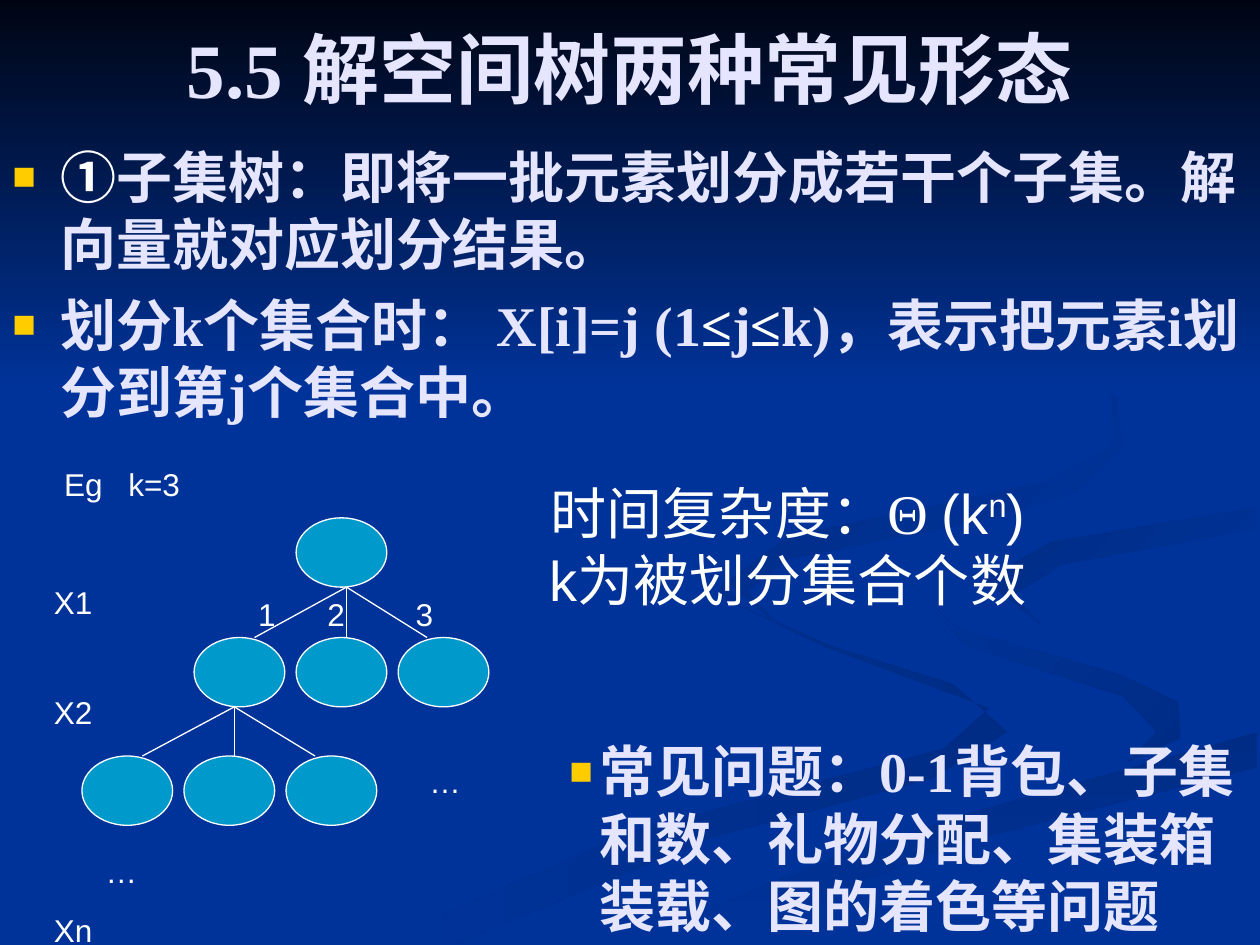
import pptx
import pptx.dml.color
import pptx.enum.shapes
import pptx.enum.text
import pptx.oxml
import pptx.oxml.ns
import pptx.util

Inches, Pt = pptx.util.Inches, pptx.util.Pt
ALIGN = pptx.enum.text.PP_ALIGN
ANCHOR = pptx.enum.text.MSO_ANCHOR
SHAPE = pptx.enum.shapes.MSO_SHAPE


class Theme:
    background, night, shade = "003399", "000514", "002C85"
    lavender, white, gold, node = "E5E5FF", "FFFFFF", "FFCC00", "0099CC"
    serif, sans = "Times New Roman", "Arial"
    title, body, label, line = 44, 32, 18, 0.75


TITLE_STYLE = dict(name=Theme.serif, size=Theme.title, color=Theme.lavender, bold=True)
BODY_STYLE = dict(TITLE_STYLE, size=Theme.body)
FORMULA_STYLE = dict(name=Theme.sans, size=Theme.body, color=Theme.white, bold=False)
LABEL_STYLE = dict(FORMULA_STYLE, size=Theme.label)
WHITE = dict(color=Theme.white)

# Text: each paragraph is a list of (text, style changes)
TITLE = [[("5.5 解空间树两种常见形态", {})]]
BODY = [
    [("①", WHITE), ("子集树：即将一批元素划分成若干个子集。解向量就对应划分结果。", {})],
    [("划分k个集合时： X[i]=j (1", {}), ("≤", WHITE), ("j", {}), ("≤", WHITE),
     ("k)，表示把元素i划分到第j个集合中。", {})],
]
COMPLEXITY = [
    [("时间复杂度：", {}), ("Θ ", dict(name=Theme.serif)), ("(k", {}),
     ("n", dict(baseline=30)), (")", {})],
    [("k为被划分集合个数", {})],
]
PROBLEMS = [[("常见问题：0-1背包、子集和数、礼物分配、集装箱装载、图的着色等问题", {})]]

# Tree labels
LEVEL_LABELS = [("X1", 4.58), ("X2", 5.45), ("Xn", 7.18)]  # text, top
OTHER_LABELS = [  # text, left, top, width, tab stops
    ("…", 3.31, 6, 0.72, ()),
    ("…", 0.74, 6.71, 0.72, ()),
    ("Eg\tk=3", 0.41, 3.64, 1.21, (0.51,)),
    ("1\t2\t3", 1.95, 4.67, 2.05, (0.55, 1.25)),
]

# Tree geometry
NODE_WIDTH, NODE_HEIGHT, NODE_PITCH = 0.72, 0.55, 0.81
LEVELS = [(2.35, 4.11, 1), (1.54, 5.06, 3), (0.65, 6, 3)]  # left, top, node count
FANS = [(2.75, 4.66, 5.06), (1.86, 5.61, 6)]  # x, top, bottom
FAN_OFFSETS = (-0.73, 0, 0.64)

# Background ribbons: start colour, end colour, angle, outline in inches
RIBBONS = [
    (Theme.shade, Theme.background, 180, [
        (5.75, 4.6), (5.87, 4.81), (6.61, 5.13), (7.57, 5.43), (8, 5.81), (7.4, 6.18),
        (5.64, 6.65), (3.61, 7.49), (3, 7.49), (4.99, 6.61), (7.49, 5.94),
        (7.85, 5.62), (6.54, 5.13), (5.7, 4.72)]),
    (Theme.shade, Theme.background, 225, [
        (7.24, 4.64), (7.58, 4.98), (8.88, 5.35), (9.35, 5.57), (9.37, 5.86),
        (8.94, 6.05), (9.18, 5.81), (8.92, 5.53), (7.66, 5.12)]),
    (Theme.shade, Theme.background, 90, [
        (5.03, 7.49), (6.3, 6.93), (7.64, 6.47), (9.98, 5.81), (9.98, 6.09),
        (7.52, 6.72), (5.71, 7.49)]),
    (Theme.background, Theme.shade, 225, [
        (7.81, 4.6), (8.35, 4.3), (9.98, 4.02), (9.98, 4.2), (8.43, 4.48),
        (8.05, 4.72), (8.26, 4.96)]),
    (Theme.background, Theme.shade, 225, [
        (7.62, 2.33), (8.43, 2.75), (8.86, 3.16), (8.92, 3.54), (8.55, 3.91),
        (7.64, 4.17), (6.24, 4.44), (5.93, 4.7), (6.22, 5), (5.77, 4.62),
        (6.25, 4.26), (8.3, 3.82), (8.82, 3.54), (8.82, 3.13), (8.26, 2.66)]),
]


def rgb(value):
    return pptx.dml.color.RGBColor.from_string(value)


def fill_gradient(shape, start, end, angle):
    shape.shadow.inherit = False
    shape.line.fill.background()
    shape.fill.gradient()
    shape.fill.gradient_angle = 360 - angle
    for stop, color, position in zip(shape.fill.gradient_stops, (start, end), (0, 1)):
        stop.color.rgb = rgb(color)
        stop.position = position


def add_ribbon(slide, start, end, angle, outline):
    points = [(Inches(x), Inches(y)) for x, y in outline]
    builder = slide.shapes.build_freeform(*points[0])
    builder.add_line_segments(points[1:], close=True)
    fill_gradient(builder.convert_to_shape(), start, end, angle)


def add_element(parent, tag, **attributes):
    element = pptx.oxml.parse_xml(f"<a:{tag} {pptx.oxml.ns.nsdecls('a')}/>")
    for key, value in attributes.items():
        element.set(key, str(value))
    parent.append(element)
    return element


def add_bullet(paragraph, hanging):
    properties = paragraph._p.get_or_add_pPr()
    properties.set("marL", str(Inches(hanging)))
    properties.set("indent", str(-Inches(hanging)))
    add_element(add_element(properties, "buClr"), "srgbClr", val=Theme.gold)
    add_element(properties, "buSzPct", val=70000)
    add_element(properties, "buFont", typeface=Theme.sans)
    add_element(properties, "buChar", char="■")


def add_run(paragraph, text, style):
    run = paragraph.add_run()
    run.text = text
    values = dict(name=style["name"], size=Pt(style["size"]), bold=style["bold"])
    for key, value in values.items():
        setattr(run.font, key, value)
    run.font.color.rgb = rgb(style["color"])
    if "baseline" in style:
        run._r.get_or_add_rPr().set("baseline", str(style["baseline"] * 1000))


def add_text(slide, box, paragraphs, style, align=ALIGN.LEFT, anchor=ANCHOR.TOP,
             hanging=0, tabs=()):
    frame = slide.shapes.add_textbox(*map(Inches, box)).text_frame
    frame.word_wrap = True
    frame.vertical_anchor = anchor
    for index, runs in enumerate(paragraphs):
        paragraph = frame.add_paragraph() if index else frame.paragraphs[0]
        paragraph.alignment = align
        if hanging:
            add_bullet(paragraph, hanging)
            if index:
                paragraph.space_before = Pt(8)
        if tabs:
            stops = add_element(paragraph._p.get_or_add_pPr(), "tabLst")
            for stop in tabs:
                add_element(stops, "tab", pos=Inches(stop), algn="l")
        for text, changes in runs:
            add_run(paragraph, text, {**style, **changes})


def add_label(slide, text, left, top, width, tabs=()):
    add_text(slide, (left, top, width, 0.4), [[(text, {})]], LABEL_STYLE, tabs=tabs)


def set_line(shape):
    shape.line.color.rgb = rgb(Theme.white)
    shape.line.width = Pt(Theme.line)


def add_edge(slide, *ends):
    edge = slide.shapes.add_connector(
        pptx.enum.shapes.MSO_CONNECTOR.STRAIGHT, *map(Inches, ends))
    set_line(edge)
    add_element(edge._element.spPr, "effectLst")


def add_node(slide, left, top):
    box = map(Inches, (left, top, NODE_WIDTH, NODE_HEIGHT))
    node = slide.shapes.add_shape(SHAPE.OVAL, *box)
    node.shadow.inherit = False
    node.fill.solid()
    node.fill.fore_color.rgb = rgb(Theme.node)
    set_line(node)


def main():
    presentation = pptx.Presentation()
    presentation.slide_width, presentation.slide_height = Inches(10), Inches(7.5)
    slide = presentation.slides.add_slide(presentation.slide_layouts[6])

    # Background
    slide.background.fill.solid()
    slide.background.fill.fore_color.rgb = rgb(Theme.background)
    for ribbon in RIBBONS:
        add_ribbon(slide, *ribbon)
    sky = slide.shapes.add_shape(SHAPE.RECTANGLE, 0, 0, Inches(10), Inches(3.08))
    fill_gradient(sky, Theme.night, Theme.background, 90)

    # Title and text
    add_text(slide, (0, 0, 10, 1.08), TITLE, TITLE_STYLE, ALIGN.CENTER, ANCHOR.MIDDLE)
    add_text(slide, (0, 1.08, 10, 6.25), BODY, BODY_STYLE, hanging=0.38)
    add_text(slide, (4.17, 3.75, 4.17, 1.17), COMPLEXITY, FORMULA_STYLE, ALIGN.CENTER)
    add_text(slide, (4.42, 5.8, 5.58, 1.7), PROBLEMS, BODY_STYLE, hanging=0.24)

    # Subset tree
    for x, top, bottom in FANS:
        for offset in FAN_OFFSETS:
            add_edge(slide, x, top, x + offset, bottom)
    for left, top, count in LEVELS:
        for index in range(count):
            add_node(slide, left + index * NODE_PITCH, top)
    for text, top in LEVEL_LABELS:
        add_label(slide, text, 0.33, top, 0.72)
    for label in OTHER_LABELS:
        add_label(slide, *label)

    presentation.save("out.pptx")


if __name__ == "__main__":
    main()
